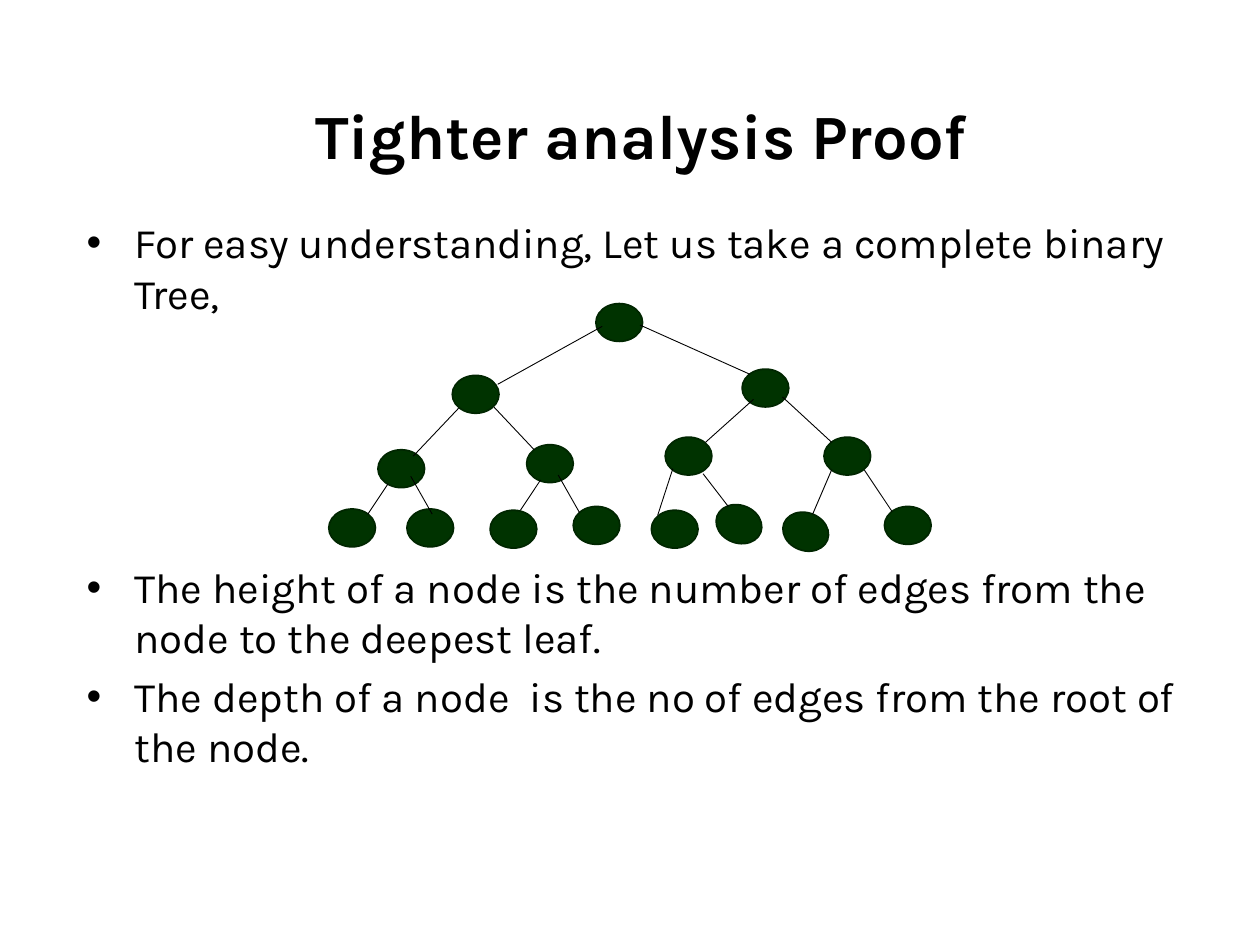
from pptx import Presentation
from pptx.dml.color import RGBColor
from pptx.enum.shapes import MSO_CONNECTOR as Connector, MSO_SHAPE as Shape
from pptx.enum.text import MSO_ANCHOR as Anchor, PP_ALIGN as Align
from pptx.oxml.ns import qn
from pptx.util import Inches, Pt
from lxml import etree

FONT = "Karla"
COLORS = {"text": "000000", "node": "003300", "outline": "002600", "edge": "000000"}
NODE_WIDTH, NODE_HEIGHT = 0.37, 0.3
TILT = 20.7

BULLETS = [
    ("For easy understanding, Let us take a complete binary Tree, ", 4.8),
    ("The height of a node is the number of edges from the node to the deepest leaf.", 139.4),
    ("The depth of a node  is the no of edges from the root of the node.", 4.8),
]

NODES = [
    (4.73, 2.41, 0),
    (3.59, 2.98, 0), (5.89, 2.93, 0),
    (3.0, 3.57, 0), (4.18, 3.53, 0), (5.28, 3.47, 0), (6.54, 3.47, 0),
    (2.61, 4.04, 0), (3.23, 4.04, 0), (3.89, 4.05, 0), (4.55, 4.02, 0),
    (5.17, 4.05, 0), (5.68, 4.01, TILT), (6.21, 4.07, TILT), (7.02, 4.02, 0),
]

EDGES = [
    (4.78, 2.59, 3.95, 3.05), (5.08, 2.58, 5.95, 2.97),
    (3.64, 3.24, 3.28, 3.62), (3.92, 3.23, 4.24, 3.57),
    (5.98, 3.17, 5.6, 3.51), (6.21, 3.15, 6.6, 3.51),
    (3.08, 3.84, 2.92, 4.08), (3.26, 3.78, 3.43, 4.08),
    (4.29, 3.81, 4.13, 4.05), (4.43, 3.77, 4.6, 4.07),
    (5.34, 3.72, 5.22, 4.09), (5.58, 3.76, 5.78, 4.02),
    (6.6, 3.73, 6.45, 4.08), (6.86, 3.73, 7.08, 4.06),
]


def color(name):
    return RGBColor.from_string(COLORS[name])


def add_span(para, text, size, bold=False):
    span = para.add_run()
    span.text = text
    span.font.name = FONT
    span.font.size = Pt(size)
    span.font.bold = bold
    span.font.color.rgb = color("text")


def set_title(page, text):
    title = page.shapes.title
    title.left, title.top = Inches(0.59), Inches(0.44)
    title.width, title.height = Inches(9), Inches(1.25)
    title.text_frame.vertical_anchor = Anchor.MIDDLE
    para = title.text_frame.paragraphs[0]
    para.alignment = Align.CENTER
    add_span(para, text, 36, bold=True)


def add_bullet(para, text, space_before):
    para.space_before = Pt(space_before)
    props = para._p.get_or_add_pPr()
    props.set("marL", str(Inches(0.38)))
    props.set("indent", str(Inches(-0.38)))
    etree.SubElement(props, qn("a:buFont")).set("typeface", "Arial")
    etree.SubElement(props, qn("a:buChar")).set("char", "•")
    add_span(para, text, 24)


def add_body(page):
    box = page.shapes.add_textbox(Inches(0.59), Inches(1.67), Inches(9), Inches(4.88))
    frame = box.text_frame
    frame.word_wrap = True
    for index, (text, space_before) in enumerate(BULLETS):
        para = frame.add_paragraph() if index else frame.paragraphs[0]
        add_bullet(para, text, space_before)


def add_node(tree, left, top, rotation):
    node = tree.shapes.add_shape(Shape.OVAL, Inches(left), Inches(top),
                                 Inches(NODE_WIDTH), Inches(NODE_HEIGHT))
    node.rotation = rotation
    node.shadow.inherit = False
    node.fill.solid()
    node.fill.fore_color.rgb = color("node")
    node.line.color.rgb = color("outline")
    node.line.width = Pt(1)


def add_edge(tree, *ends):
    edge = tree.shapes.add_connector(Connector.STRAIGHT, *map(Inches, ends))
    edge.line.color.rgb = color("edge")
    edge.line.width = Pt(0.5)
    etree.SubElement(edge._element.spPr, qn("a:effectLst"))


def add_tree(page):
    tree = page.shapes.add_group_shape()
    for node in NODES:
        add_node(tree, *node)
    for edge in EDGES:
        add_edge(tree, *edge)


def main():
    deck = Presentation()
    deck.slide_width, deck.slide_height = Inches(10), Inches(7.5)
    page = deck.slides.add_slide(deck.slide_layouts[5])
    set_title(page, "Tighter analysis Proof")
    add_body(page)
    add_tree(page)
    deck.save("out.pptx")


main()
